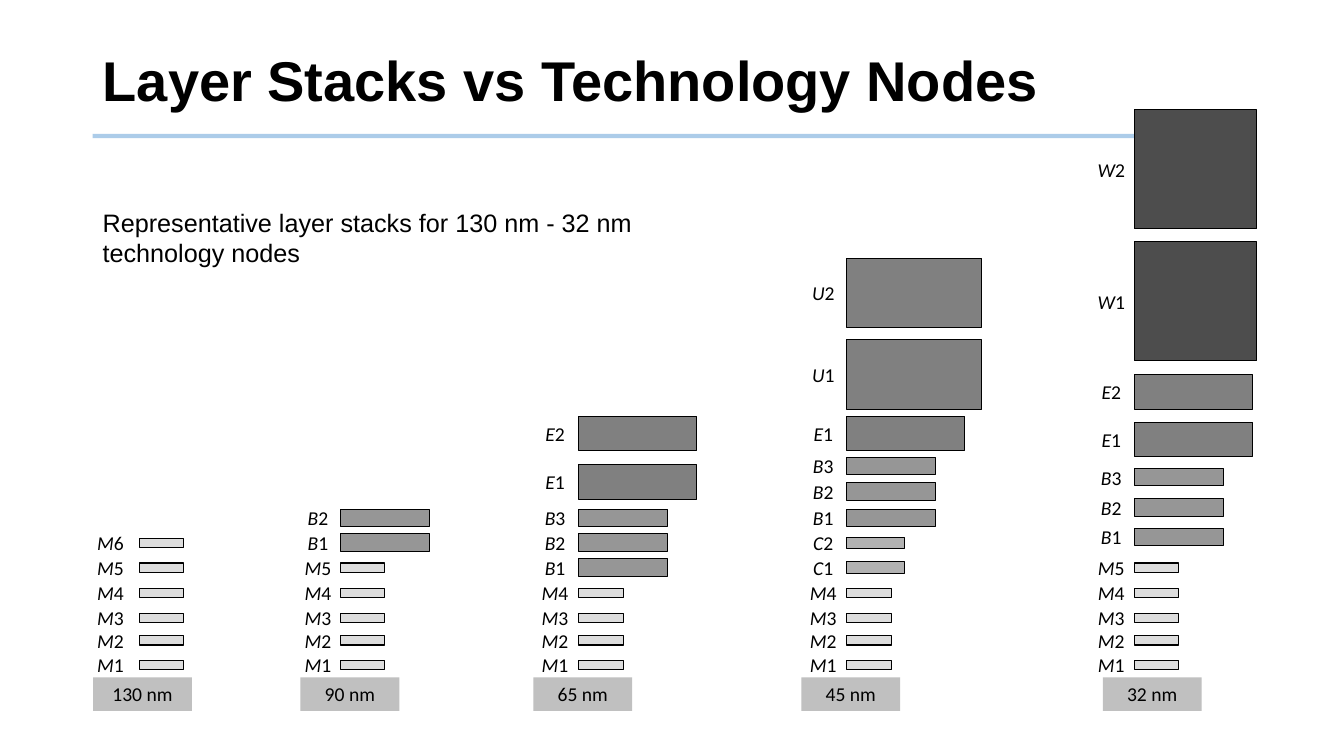
from dataclasses import dataclass

from lxml.etree import SubElement
from pptx import Presentation
from pptx.dml.color import RGBColor
from pptx.enum.shapes import MSO_CONNECTOR, MSO_SHAPE
from pptx.enum.text import MSO_ANCHOR, MSO_AUTO_SIZE, PP_ALIGN
from pptx.oxml.ns import qn
from pptx.util import Pt

TITLE = "Layer Stacks vs Technology Nodes"
SUMMARY = "Representative layer stacks for 130 nm - 32 nm technology nodes"


@dataclass(frozen=True)
class Stack:
    node: str
    caption_left: float
    label_left: float
    bar_left: float
    layers: str
    upper_centers: tuple = ()


STACKS = [
    Stack("130 nm", 66.5, 59.8, 99.6, "M1 M2 M3 M4 M5 M6"),
    Stack("90 nm", 214.6, 208.1, 243.2, "M1 M2 M3 M4 M5 B1 B2"),
    Stack("65 nm", 381, 377.4, 413.3, "M1 M2 M3 M4 B1 B2 B3 E1 E2", (344.2, 309.6)),
    Stack("45 nm", 572.4, 569, 604.8, "M1 M2 M3 M4 C1 C2 B1 B2 B3 E1 U1 U2",
          (351, 333, 309.6, 267.5, 209.2)),
    Stack("32 nm", 787.7, 774.7, 810.3, "M1 M2 M3 M4 M5 B1 B2 B3 E1 E2 W1 W2",
          (383.4, 362.5, 340.9, 313.9, 280.1, 215.3, 121)),
]
SHARED_CENTERS = (474.8, 457.5, 441.6, 423.6, 405.4, 387.6, 369.8)

BARS = {
    "M": (31.8, 6.5, "DDDDDD"),
    "C": (41, 8, "B2B2B2"),
    "B": (63.6, 12.4, "969696"),
    "E": (84.5, 24.7, "808080"),
    "U": (96.5, 49.5, "808080"),
    "W": (87.3, 85, "4D4D4D"),
}
LABEL_WIDTH, LABEL_HEIGHT = 38.2, 24
CAPTION_TOP, CAPTION_WIDTH, CAPTION_HEIGHT = 483.8, 70.6, 24


@dataclass(frozen=True)
class Theme:
    text: str = "000000"
    rule: str = "5B9BD5"
    caption: str = "C0C0C0"
    heading_font: str = "Arial"
    label_font: str = "Calibri"
    title_size: float = 40
    summary_size: float = 18
    label_size: float = 14


THEME = Theme()


def color(value):
    return RGBColor.from_string(value)


def add_run(paragraph, text, font, size, bold=False, italic=False):
    run = paragraph.add_run()
    run.text = text
    run.font.name = font
    run.font.size = Pt(size)
    run.font.bold = bold
    run.font.italic = italic
    run.font.color.rgb = color(THEME.text)


def add_rectangle(shapes, left, top, width, height, fill, outline=None):
    shape = shapes.add_shape(MSO_SHAPE.RECTANGLE, Pt(left), Pt(top), Pt(width), Pt(height))
    shape.shadow.inherit = False
    shape.fill.solid()
    shape.fill.fore_color.rgb = color(fill)
    if outline:
        shape.line.color.rgb = color(outline)
        shape.line.width = Pt(0.75)
    else:
        shape.line.fill.background()
    return shape


def add_text_box(shapes, left, top, width, height):
    box = shapes.add_textbox(Pt(left), Pt(top), Pt(width), Pt(height))
    box.text_frame.word_wrap = True
    box.text_frame.auto_size = MSO_AUTO_SIZE.SHAPE_TO_FIT_TEXT
    return box.text_frame.paragraphs[0]


def add_title(slide):
    title = slide.shapes.title
    title.left, title.top, title.width, title.height = Pt(66.2), Pt(20.2), Pt(828), Pt(79.2)
    title.text_frame.vertical_anchor = MSO_ANCHOR.MIDDLE
    paragraph = title.text_frame.paragraphs[0]
    paragraph.alignment = PP_ALIGN.LEFT
    paragraph.line_spacing = 0.9
    add_run(paragraph, TITLE, THEME.heading_font, THEME.title_size, bold=True)


def add_rule(slide):
    rule = slide.shapes.add_connector(MSO_CONNECTOR.STRAIGHT, Pt(66.2), Pt(97.2), Pt(894.2), Pt(97.2))
    rule.line.width = Pt(3)
    rule.line.color.rgb = color(THEME.rule)
    properties = rule._element.spPr
    SubElement(next(properties.iter(qn("a:srgbClr"))), qn("a:alpha"), val="50000")
    SubElement(properties, qn("a:effectLst"))


def add_layer(shapes, stack, layer, center):
    width, height, fill = BARS[layer[0]]
    add_rectangle(shapes, stack.bar_left, center - height / 2, width, height, fill, THEME.text)
    paragraph = add_text_box(shapes, stack.label_left, center - LABEL_HEIGHT / 2,
                             LABEL_WIDTH, LABEL_HEIGHT)
    paragraph.alignment = PP_ALIGN.CENTER
    add_run(paragraph, layer[0], THEME.label_font, THEME.label_size, italic=True)
    add_run(paragraph, layer[1], THEME.label_font, THEME.label_size)


def add_stack(slide, stack):
    shapes = slide.shapes.add_group_shape().shapes
    caption = add_rectangle(shapes, stack.caption_left, CAPTION_TOP,
                            CAPTION_WIDTH, CAPTION_HEIGHT, THEME.caption)
    paragraph = caption.text_frame.paragraphs[0]
    paragraph.alignment = PP_ALIGN.CENTER
    add_run(paragraph, stack.node, THEME.label_font, THEME.label_size)
    layers = stack.layers.split()
    shared_count = len(layers) - len(stack.upper_centers)
    centers = SHARED_CENTERS[:shared_count] + stack.upper_centers
    for layer, center in zip(layers, centers):
        add_layer(shapes, stack, layer, center)


def main():
    presentation = Presentation()
    presentation.slide_width, presentation.slide_height = Pt(960), Pt(540)
    slide = presentation.slides.add_slide(presentation.slide_layouts[5])
    add_rule(slide)
    add_title(slide)
    for stack in STACKS:
        add_stack(slide, stack)
    summary = add_text_box(slide.shapes, 66.2, 144.7, 466.6, 50.4)
    add_run(summary, SUMMARY, THEME.heading_font, THEME.summary_size)
    presentation.save("out.pptx")


if __name__ == "__main__":
    main()
